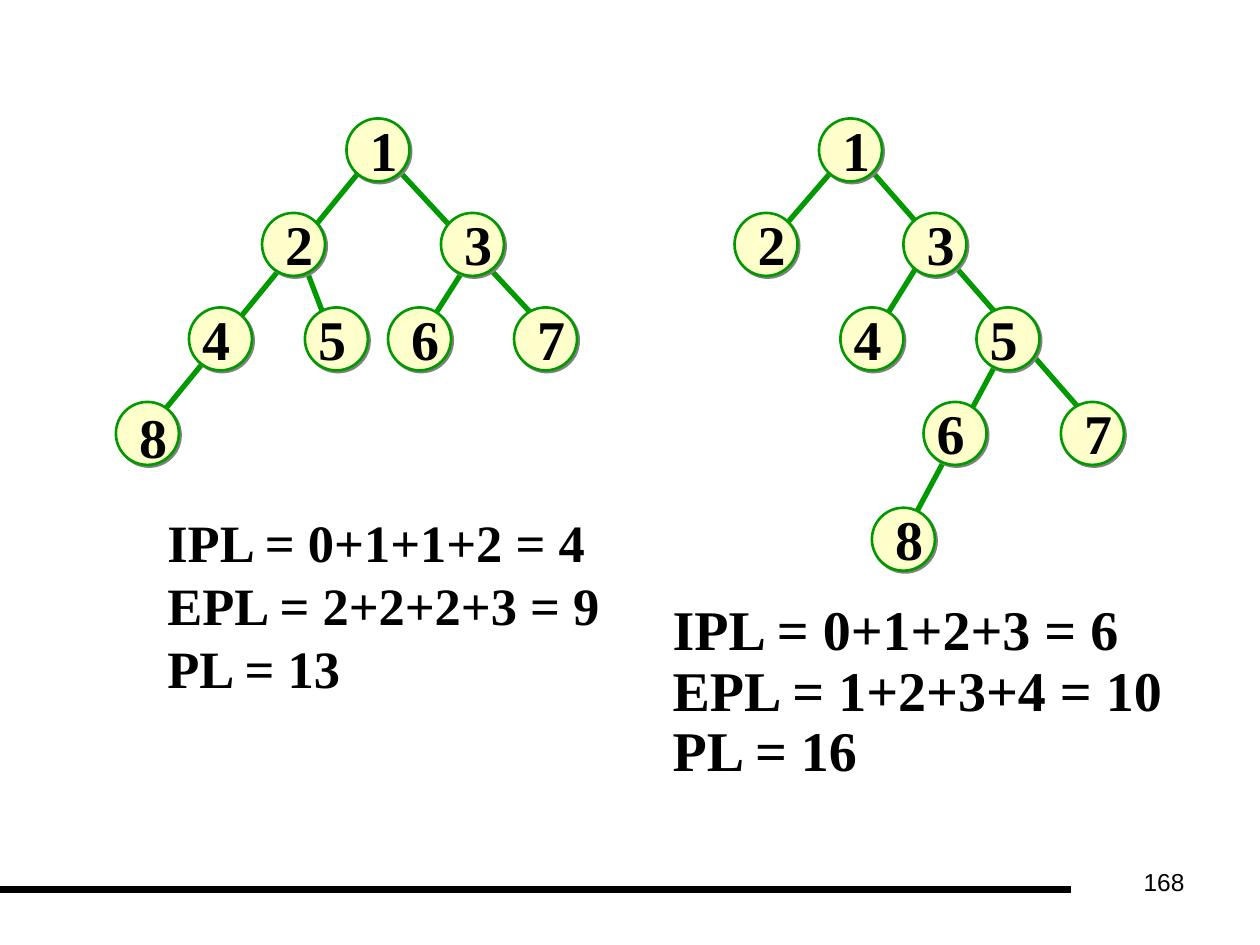
from lxml import etree
from pptx import Presentation
from pptx.dml.color import RGBColor
from pptx.enum.shapes import MSO_CONNECTOR, MSO_SHAPE
from pptx.enum.text import MSO_ANCHOR, PP_ALIGN
from pptx.oxml.ns import qn
from pptx.util import Inches, Pt

STRAIGHT = MSO_CONNECTOR.STRAIGHT
OVAL = MSO_SHAPE.OVAL
TOP, MIDDLE = MSO_ANCHOR.TOP, MSO_ANCHOR.MIDDLE
LEFT, CENTER, RIGHT = PP_ALIGN.LEFT, PP_ALIGN.CENTER, PP_ALIGN.RIGHT

BLACK, GREEN, CREAM, GRAY = "000000", "009900", "FFFFCC", "808080"
SERIF, SANS = "Times New Roman", "Arial"
NODE_SIZE = 0.5
LABEL_WIDTH, LABEL_HEIGHT = 0.59, 0.64

# Branches are (x1, y1, x2, y2); nodes are (key, left, top, label dx, label dy).
TREES = [
    {
        "branches": [
            (3.75, 2.03, 3.33, 2.69),
            (2.42, 2.11, 2.58, 2.53),
            (3.17, 1.36, 4.33, 2.61),
            (2.92, 1.28, 1.08, 3.53),
        ],
        "nodes": [
            ("1", 2.75, 0.94, 0, -0.08),
            ("2", 2.08, 1.69, 0, -0.08),
            ("3", 3.5, 1.69, 0, -0.08),
            ("4", 1.5, 2.44, -0.08, -0.08),
            ("5", 2.42, 2.44, -0.08, -0.08),
            ("6", 3.08, 2.44, 0, -0.08),
            ("7", 4.08, 2.44, 0, -0.08),
            ("8", 0.92, 3.19, 0, -0.05),
        ],
        "lengths": ["IPL = 0+1+1+2 = 4", "EPL = 2+2+2+3 = 9", "PL = 13"],
        "lengths_box": (1.23, 4, 3.65, 1.6),
        "size": 30,
        "spacing": None,
    },
    {
        "branches": [
            (7.33, 2.03, 6.92, 2.69),
            (7.92, 2.86, 7.25, 4.11),
            (6.92, 1.36, 8.67, 3.36),
            (6.67, 1.28, 6.17, 1.86),
        ],
        "nodes": [
            ("1", 6.5, 0.94, 0, -0.08),
            ("2", 5.83, 1.69, 0, -0.08),
            ("3", 7.17, 1.69, 0, -0.08),
            ("4", 6.67, 2.44, -0.08, -0.08),
            ("5", 7.75, 2.44, -0.08, -0.08),
            ("6", 7.33, 3.19, -0.08, -0.08),
            ("7", 8.42, 3.19, 0, -0.08),
            ("8", 6.92, 4.03, 0, -0.08),
        ],
        "lengths": ["IPL = 0+1+2+3 = 6", "EPL = 1+2+3+4 = 10", "PL = 16"],
        "lengths_box": (5.24, 4.73, 4.11, 1.54),
        "size": 32,
        "spacing": 0.9,
    },
]


def rgb(value):
    """Return the colour for a hex string."""
    return RGBColor.from_string(value)


def add_line(slide, ends, color, width):
    """Draw a straight line without a shadow."""
    line = slide.shapes.add_connector(STRAIGHT, *map(Inches, ends))
    line.line.color.rgb = rgb(color)
    line.line.width = Pt(width)
    etree.SubElement(line._element.spPr, qn("a:effectLst"))


def add_node(slide, left, top):
    """Draw a tree node with a hard shadow to the lower right."""
    node = slide.shapes.add_shape(OVAL, *map(Inches, (left, top, NODE_SIZE, NODE_SIZE)))
    node.fill.solid()
    node.fill.fore_color.rgb = rgb(CREAM)
    node.line.color.rgb = rgb(GREEN)
    node.line.width = Pt(1.5)
    node.shadow.inherit = False
    effects = node._element.spPr.find(qn("a:effectLst"))
    shadow = etree.SubElement(effects, qn("a:outerShdw"), dist=str(Pt(1.4)),
                              dir="2700000", algn="ctr", rotWithShape="0")
    etree.SubElement(shadow, qn("a:srgbClr"), val=GRAY)


def add_text(slide, box, lines, size, font=SERIF, bold=True, align=LEFT,
             anchor=MIDDLE, wrap=True, spacing=None):
    """Place lines of text, one paragraph each."""
    frame = slide.shapes.add_textbox(*map(Inches, box)).text_frame
    frame.word_wrap = wrap
    frame.vertical_anchor = anchor
    frame.text = "\n".join(lines)
    for paragraph in frame.paragraphs:
        paragraph.alignment = align
        paragraph.line_spacing = spacing
        paragraph.font.name = font
        paragraph.font.size = Pt(size)
        paragraph.font.bold = bold
        paragraph.font.color.rgb = rgb(BLACK)


def add_tree(slide, tree):
    """Draw the branches, nodes, labels and path lengths of one tree."""
    for ends in tree["branches"]:
        add_line(slide, ends, GREEN, 3)
    for key, left, top, dx, dy in tree["nodes"]:
        add_node(slide, left, top)
        label_box = (left + dx, top + dy, LABEL_WIDTH, LABEL_HEIGHT)
        add_text(slide, label_box, [key], 32, align=CENTER)
    add_text(slide, tree["lengths_box"], tree["lengths"], tree["size"],
             wrap=False, spacing=tree["spacing"])


def main():
    """Build the slide and save it."""
    deck = Presentation()
    deck.slide_width, deck.slide_height = Inches(10), Inches(7.5)
    slide = deck.slides.add_slide(deck.slide_layouts[6])
    add_line(slide, (0, 7.06, 8.5, 7.06), BLACK, 4.5)
    add_text(slide, (7.17, 6.83, 2.33, 0.52), ["168"], 14, font=SANS,
             bold=False, align=RIGHT, anchor=TOP)
    for tree in TREES:
        add_tree(slide, tree)
    deck.save("out.pptx")


if __name__ == "__main__":
    main()
